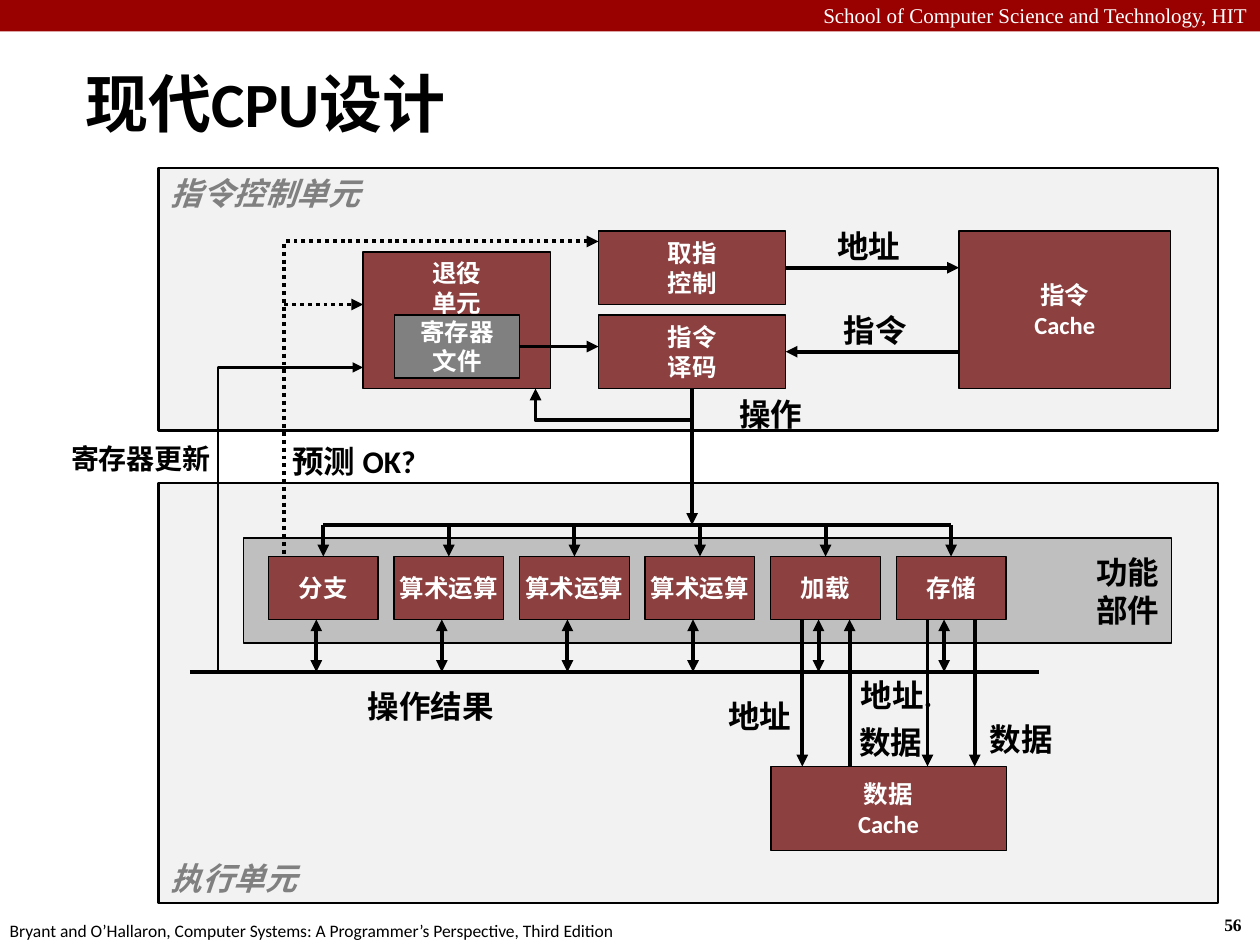
import pptx
import pptx.dml.color
import pptx.enum.dml
import pptx.enum.shapes
import pptx.enum.text
import pptx.oxml.ns
import pptx.util
from dataclasses import dataclass
from lxml import etree

Pt = pptx.util.Pt
ALIGN = pptx.enum.text.PP_ALIGN
ANCHOR = pptx.enum.text.MSO_ANCHOR
DOTTED = pptx.enum.dml.MSO_LINE.ROUND_DOT
TOP, LEFT, BOTTOM, RIGHT = range(4)


@dataclass(frozen=True)
class Theme:
    banner: str = "990000"
    panel: str = "F2F2F2"
    band: str = "BFBFBF"
    unit: str = "8C4040"
    grey: str = "808080"
    black: str = "000000"
    white: str = "FFFFFF"
    font: str = "Calibri"
    serif: str = "Times New Roman"
    title: float = 36
    label: float = 18
    small_label: float = 16
    body: float = 14
    header: float = 12
    footer: float = 10
    thin: float = 0.75
    medium: float = 1.5
    thick: float = 2.25


class Diagram:
    def __init__(self, page, theme):
        self.page = page
        self.theme = theme

    def add_text(self, frame, text, size, color, align=ALIGN.LEFT, anchor=ANCHOR.TOP,
                 bold=True, italic=False, font=None):
        """Fill a text frame, one paragraph for each line of text."""
        frame.word_wrap = False
        frame.auto_size = pptx.enum.text.MSO_AUTO_SIZE.NONE
        frame.vertical_anchor = anchor
        for index, line in enumerate(text.split("\n")):
            para = frame.add_paragraph() if index else frame.paragraphs[0]
            para.alignment = align
            span = para.add_run()
            span.text = line
            span.font.name = font or self.theme.font
            span.font.size = Pt(size)
            span.font.bold = bold
            span.font.italic = italic
            span.font.color.rgb = pptx.dml.color.RGBColor.from_string(color)

    def title(self, text, left, top, width, height):
        title = self.page.shapes.title
        title.left, title.top, title.width, title.height = map(Pt, (left, top, width, height))
        self.add_text(title.text_frame, text, self.theme.title, self.theme.black,
                      anchor=ANCHOR.MIDDLE)

    def rectangle(self, left, top, width, height, fill, border):
        box = self.page.shapes.add_shape(pptx.enum.shapes.MSO_SHAPE.RECTANGLE,
                                         *map(Pt, (left, top, width, height)))
        box.shadow.inherit = False
        box.fill.solid()
        box.fill.fore_color.rgb = pptx.dml.color.RGBColor.from_string(fill)
        if border:
            self.stroke(box, border)
        else:
            box.line.fill.background()
        return box

    def panel(self, text, left, top, width, height, anchor):
        box = self.rectangle(left, top, width, height, self.theme.panel, self.theme.medium)
        self.add_text(box.text_frame, text, self.theme.label, self.theme.grey,
                      anchor=anchor, italic=True)

    def unit(self, text, left, top, width, height, fill=None, anchor=ANCHOR.MIDDLE):
        box = self.rectangle(left, top, width, height, fill or self.theme.unit, self.theme.thin)
        self.add_text(box.text_frame, text, self.theme.body, self.theme.white,
                      ALIGN.CENTER, anchor)
        return box

    def label(self, text, left, top, width, height=28.8, size=None, color=None, **style):
        box = self.page.shapes.add_textbox(*map(Pt, (left, top, width, height)))
        self.add_text(box.text_frame, text, size or self.theme.label,
                      color or self.theme.black, **style)

    def stroke(self, shape, width, dash=None, head=False, tail=False):
        """Draw the line in black; head is the arrow at its start, tail at its end."""
        shape.line.color.rgb = pptx.dml.color.RGBColor.from_string(self.theme.black)
        shape.line.width = Pt(width)
        if dash:
            shape.line.dash_style = dash
        outline = shape.line._get_or_add_ln()
        for name, wanted in (("a:headEnd", head), ("a:tailEnd", tail)):
            if wanted:
                etree.SubElement(outline, pptx.oxml.ns.qn(name), type="triangle")

    def line(self, start, end, start_joint=None, end_joint=None, dash=None,
             head=False, tail=True):
        """Each joint is a (shape, side) pair."""
        connector = self.page.shapes.add_connector(
            pptx.enum.shapes.MSO_CONNECTOR.STRAIGHT, *map(Pt, (*start, *end)))
        if start_joint:
            connector.begin_connect(*start_joint)
        if end_joint:
            connector.end_connect(*end_joint)
        self.stroke(connector, self.theme.thick, dash, head, tail)
        etree.SubElement(connector._element.spPr, pptx.oxml.ns.qn("a:effectLst"))

    def bent_line(self, points, width, **ends):
        first, *others = [tuple(map(Pt, point)) for point in points]
        builder = self.page.shapes.build_freeform(*first)
        builder.add_line_segments(others, close=False)
        bend = builder.convert_to_shape()
        bend.shadow.inherit = False
        bend.fill.background()
        self.stroke(bend, width, **ends)


def add_frame(diagram, theme):
    diagram.rectangle(0, 0, 720, 18, theme.banner, None)
    diagram.label("School of Computer Science and Technology, HIT", 0, -2, 720, 21.6,
                  theme.header, theme.white, align=ALIGN.RIGHT, bold=False, font=theme.serif)
    diagram.label("56", 692.5, 519, 27, 19.5, theme.footer, font=theme.serif)
    diagram.label("Bryant and O’Hallaron, Computer Systems: A Programmer’s Perspective, "
                  "Third Edition", -1.5, 522, 366, 19.5, theme.footer, bold=False)
    diagram.title("现代CPU设计", 41.5, 36, 461.5, 45.5)


def add_control_unit(diagram, theme):
    fetch = diagram.unit("取指\n控制", 342, 132, 107, 42)
    decode = diagram.unit("指令\n译码", 342, 180, 107, 42)
    diagram.unit("指令\nCache", 548, 132, 121, 90)
    diagram.line((449, 153), (548, 153), start_joint=(fetch, RIGHT))
    diagram.line((548, 201), (449, 201), end_joint=(decode, RIGHT))
    diagram.line((395.5, 222), (395.5, 300), start_joint=(decode, BOTTOM))
    diagram.bent_line([(342, 138), (162.5, 138), (162.5, 318)], theme.thick,
                      dash=DOTTED, head=True)
    diagram.unit("退役\n单元", 207.5, 144, 107, 78, anchor=ANCHOR.TOP)
    registers = diagram.unit("寄存器\n文件", 225.5, 180, 71.5, 36, theme.grey)
    diagram.line((162.5, 174), (207.5, 174), dash=DOTTED)
    diagram.line((297, 198), (342, 198), start_joint=(registers, RIGHT))
    diagram.bent_line([(207.5, 210), (124.5, 210), (124.5, 384)], theme.medium, head=True)
    diagram.bent_line([(395.5, 240), (306, 240), (306, 222)], theme.thick, tail=True)


def add_execution_unit(diagram):
    unit_left, unit_pitch, unit_width = 153.4, 71.75, 62.7
    unit_top, unit_bottom, bus, result_bus = 318, 354, 300, 384
    names = ["分支", "算术运算", "算术运算", "算术运算", "加载", "存储"]
    centers = [unit_left + unit_pitch * i + unit_width / 2 for i in range(len(names))]

    diagram.unit("数据\nCache", 440.5, 438, 134.5, 48)
    for name, center in zip(names, centers):
        unit = diagram.unit(name, center - unit_width / 2, unit_top,
                            unit_width, unit_bottom - unit_top)
        diagram.line((center, bus), (center, unit_top), end_joint=(unit, TOP))
        diagram.line((center - 4, unit_bottom), (center - 4, result_bus), head=True)
    diagram.line((centers[0], bus), (centers[-1], bus), tail=False)
    diagram.line((108.5, result_bus), (593.5, result_bus), tail=False)

    for x, upward in ((458.5, False), (485.5, True), (530, False), (557, False)):
        ends = [(x, unit_bottom), (x, 438)]
        diagram.line(*(reversed(ends) if upward else ends))


def main():
    theme = Theme()
    deck = pptx.Presentation()
    deck.slide_width, deck.slide_height = Pt(720), Pt(540)
    diagram = Diagram(deck.slides.add_slide(deck.slide_layouts[5]), theme)

    add_frame(diagram, theme)
    diagram.panel("执行单元", 90.5, 276, 605.5, 240, ANCHOR.BOTTOM)
    band = diagram.rectangle(139, 307.5, 530.5, 60, theme.band, theme.thin)
    diagram.add_text(band.text_frame, "功能\n部件", theme.label, theme.black,
                     ALIGN.RIGHT, ANCHOR.MIDDLE)
    diagram.panel("指令控制单元", 90.5, 96, 605.5, 150, ANCHOR.TOP)
    add_control_unit(diagram, theme)
    add_execution_unit(diagram)

    for text, left, top, width in (
            ("地址", 466.5, 126, 60), ("指令", 470, 174, 60), ("操作", 410.5, 222, 60),
            ("数据", 553.5, 408, 60), ("数据", 479, 409.5, 60), ("地址", 404, 394.5, 60),
            ("地址.", 479.5, 382.5, 65.5)):
        diagram.label(text, left, top, width, align=ALIGN.CENTER)
    diagram.label("预测 OK?", 160, 249, 101.5)
    diagram.label("操作结果", 203, 389, 103)
    diagram.label("寄存器更新", 15, 248.5, 112.5, 26.5, theme.small_label, align=ALIGN.RIGHT)
    deck.save("out.pptx")


if __name__ == "__main__":
    main()
